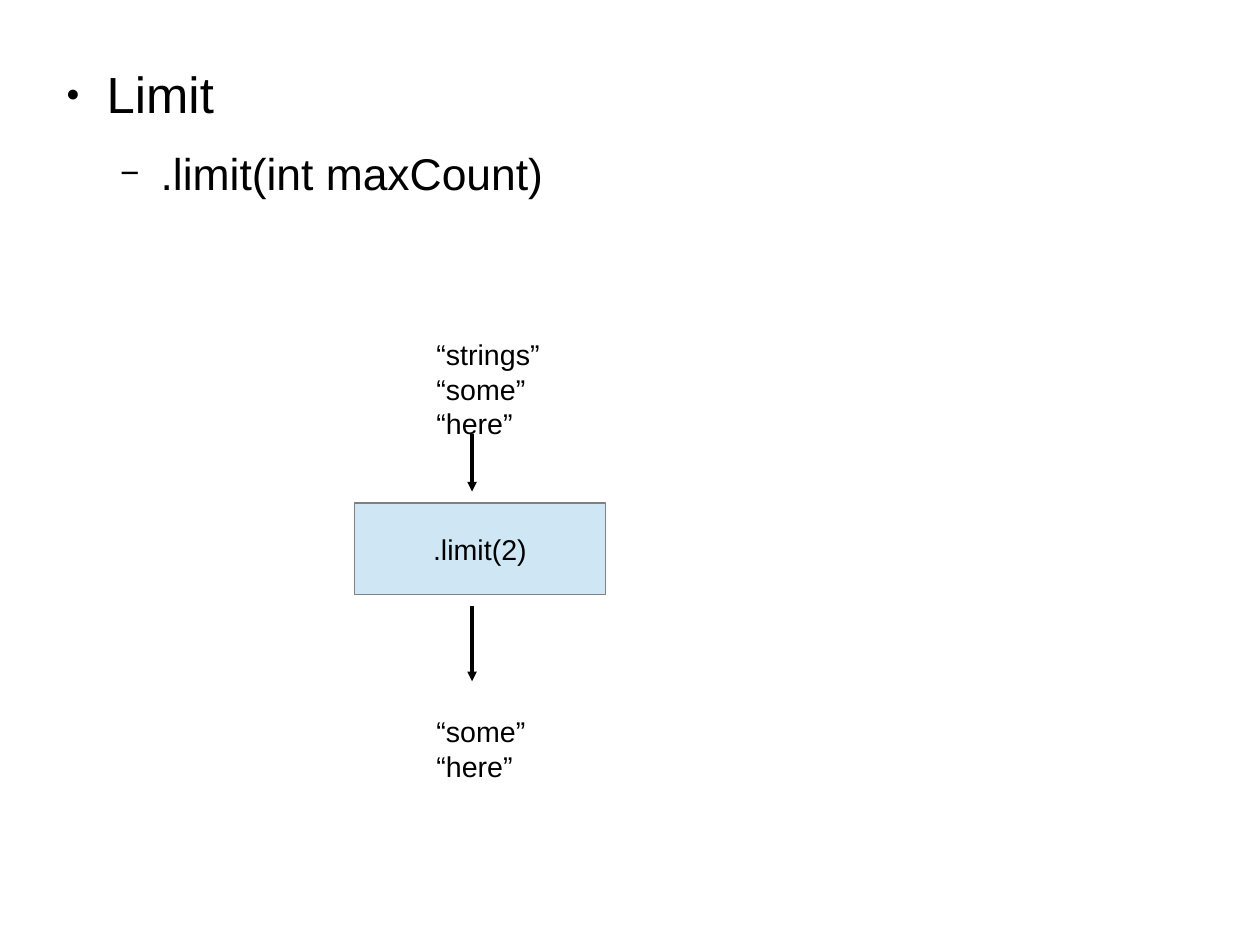
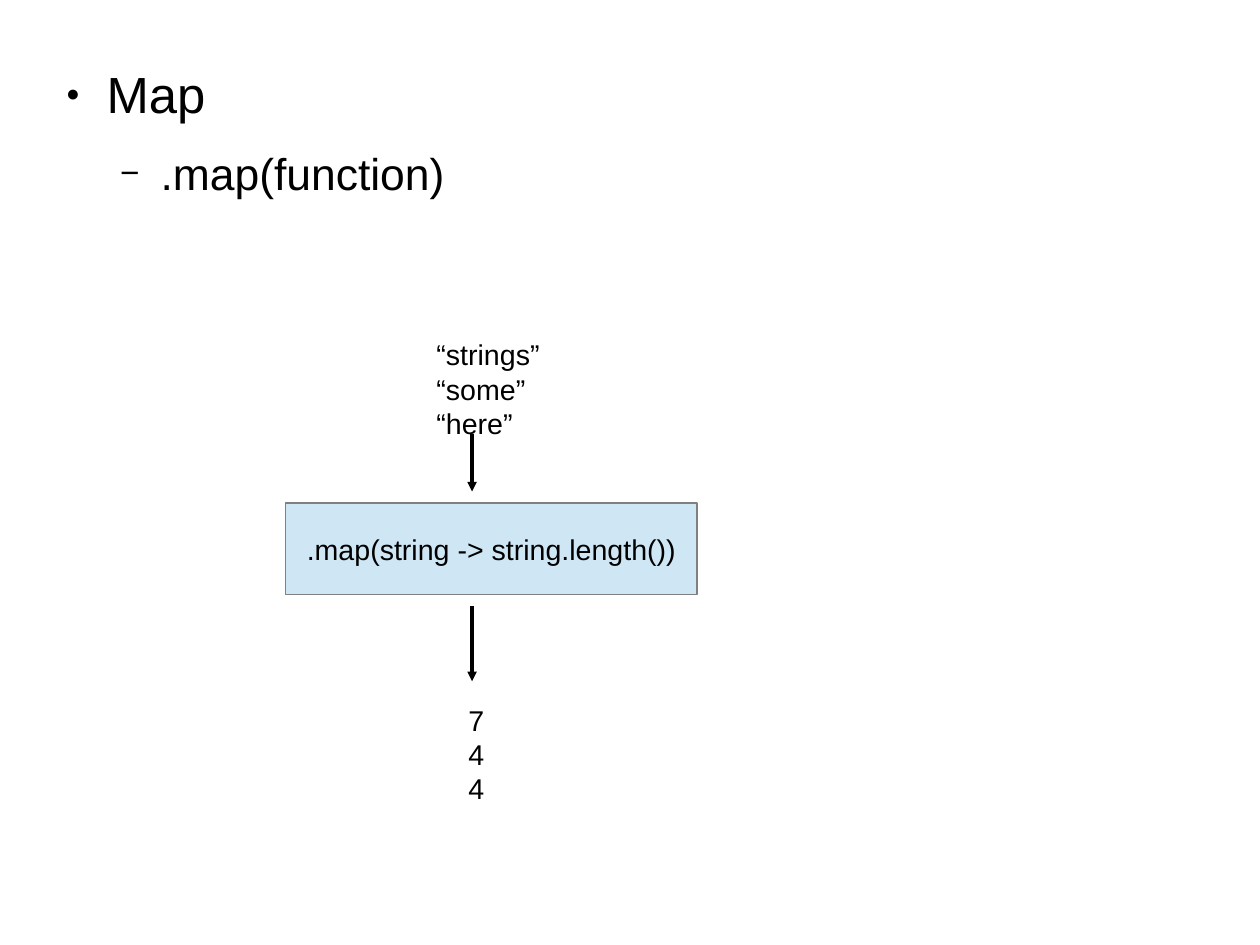
from dataclasses import dataclass

from pptx import Presentation
from pptx.dml.color import RGBColor as Color
from pptx.enum.shapes import MSO_CONNECTOR as Connector, MSO_SHAPE as Shape
from pptx.enum.text import MSO_ANCHOR as Anchor, MSO_AUTO_SIZE as AutoSize, PP_ALIGN as Align
from pptx.oxml.ns import qn
from pptx.util import Cm, Pt
from lxml.etree import SubElement


@dataclass(frozen=True)
class Theme:
    font: str = "Arial"
    ink: Color = Color(0x00, 0x00, 0x00)
    box_fill: Color = Color(0xCF, 0xE7, 0xF5)
    box_line: Color = Color(0x80, 0x80, 0x80)
    topic_size: int = 32
    detail_size: int = 28
    diagram_size: int = 18


THEME = Theme()

OUTLINE_LEVELS = (
    {"size": THEME.topic_size, "after": 14.1, "margin": 1.2, "bullet": "●", "percent": 45},
    {"size": THEME.detail_size, "after": 11.3, "margin": 2.4, "bullet": "−", "percent": 75},
)
HANGING = 0.9
BOX_TOP, BOX_HEIGHT = 11.18, 2.03
ARROW_X = 10.49
ARROWS = ((9.65, 10.92), (13.46, 15.14))
VALUES_WIDTH, VALUES_HEIGHT = 4.55, 3.81
STRINGS_LEFT, STRINGS_TOP = 9.45, 7.37
STRINGS = ("“strings”", "“some”", "“here”")


def write_text(para, text, size=THEME.diagram_size, align=Align.LEFT, after=0):
    para.alignment = align
    para.space_before = Pt(0)
    para.space_after = Pt(after)
    span = para.add_run()
    span.text = text
    span.font.name = THEME.font
    span.font.size = Pt(size)
    span.font.color.rgb = THEME.ink


def write_lines(frame, lines):
    for index, line in enumerate(lines):
        para = frame.add_paragraph() if index else frame.paragraphs[0]
        write_text(para, line)


def set_bullet(para, char, percent, margin):
    props = para._p.get_or_add_pPr()
    props.set("marL", str(Cm(margin)))
    props.set("indent", str(-Cm(HANGING)))
    color = SubElement(props, qn("a:buClr"))
    SubElement(color, qn("a:srgbClr"), val=str(THEME.ink))
    SubElement(props, qn("a:buSzPct"), val=str(percent * 1000))
    SubElement(props, qn("a:buChar"), char=char)


def fill_outline(page, lines):
    title = page.shapes.title.element
    title.getparent().remove(title)
    outline = page.placeholders[1]
    outline.left, outline.top = Cm(1.17), Cm(1.4)
    outline.width, outline.height = Cm(21.44), Cm(4.52)
    frame = outline.text_frame
    frame.auto_size = AutoSize.NONE
    frame.vertical_anchor = Anchor.TOP
    frame.margin_left = frame.margin_top = frame.margin_right = frame.margin_bottom = 0
    for level, (line, style) in enumerate(zip(lines, OUTLINE_LEVELS)):
        para = frame.add_paragraph() if level else frame.paragraphs[0]
        para.level = level
        write_text(para, line, size=style["size"], after=style["after"])
        set_bullet(para, style["bullet"], style["percent"], style["margin"])


def add_operation(page, text, left, width):
    box = page.shapes.add_shape(
        Shape.RECTANGLE, Cm(left), Cm(BOX_TOP), Cm(width), Cm(BOX_HEIGHT))
    box.shadow.inherit = False
    box.fill.solid()
    box.fill.fore_color.rgb = THEME.box_fill
    box.line.color.rgb = THEME.box_line
    box.line.width = Pt(0)
    box.text_frame.vertical_anchor = Anchor.MIDDLE
    write_text(box.text_frame.paragraphs[0], text, align=Align.CENTER)


def add_values(page, lines, left, top):
    box = page.shapes.add_textbox(Cm(left), Cm(top), Cm(VALUES_WIDTH), Cm(VALUES_HEIGHT))
    box.text_frame.word_wrap = True
    write_lines(box.text_frame, lines)


def add_arrow(page, start, end):
    arrow = page.shapes.add_connector(
        Connector.STRAIGHT, Cm(ARROW_X), Cm(start), Cm(ARROW_X), Cm(end))
    arrow.line.color.rgb = THEME.ink
    arrow.line.width = Pt(0)
    SubElement(arrow.line._get_or_add_ln(), qn("a:tailEnd"), type="triangle")
    SubElement(arrow.element.spPr, qn("a:effectLst"))


def add_stream_page(deck, outline, operation, results):
    page = deck.slides.add_slide(deck.slide_layouts[1])
    fill_outline(page, outline)
    add_operation(page, **operation)
    add_values(page, STRINGS, STRINGS_LEFT, STRINGS_TOP)
    for start, end in ARROWS:
        add_arrow(page, start, end)
    add_values(page, **results)


def main():
    deck = Presentation()
    deck.slide_width, deck.slide_height = Cm(28), Cm(21)
    add_stream_page(
        deck,
        outline=("Limit", ".limit(int maxCount)"),
        operation={"text": ".limit(2)", "left": 7.87, "width": 5.59},
        results={"lines": STRINGS[1:], "left": STRINGS_LEFT, "top": 15.75},
    )
    add_stream_page(
        deck,
        outline=("Map", ".map(function)"),
        operation={"text": ".map(string -> string.length())", "left": 6.35, "width": 9.14},
        results={"lines": ("7", "4", "4"), "left": 10.16, "top": 15.49},
    )
    deck.save("out.pptx")


if __name__ == "__main__":
    main()
